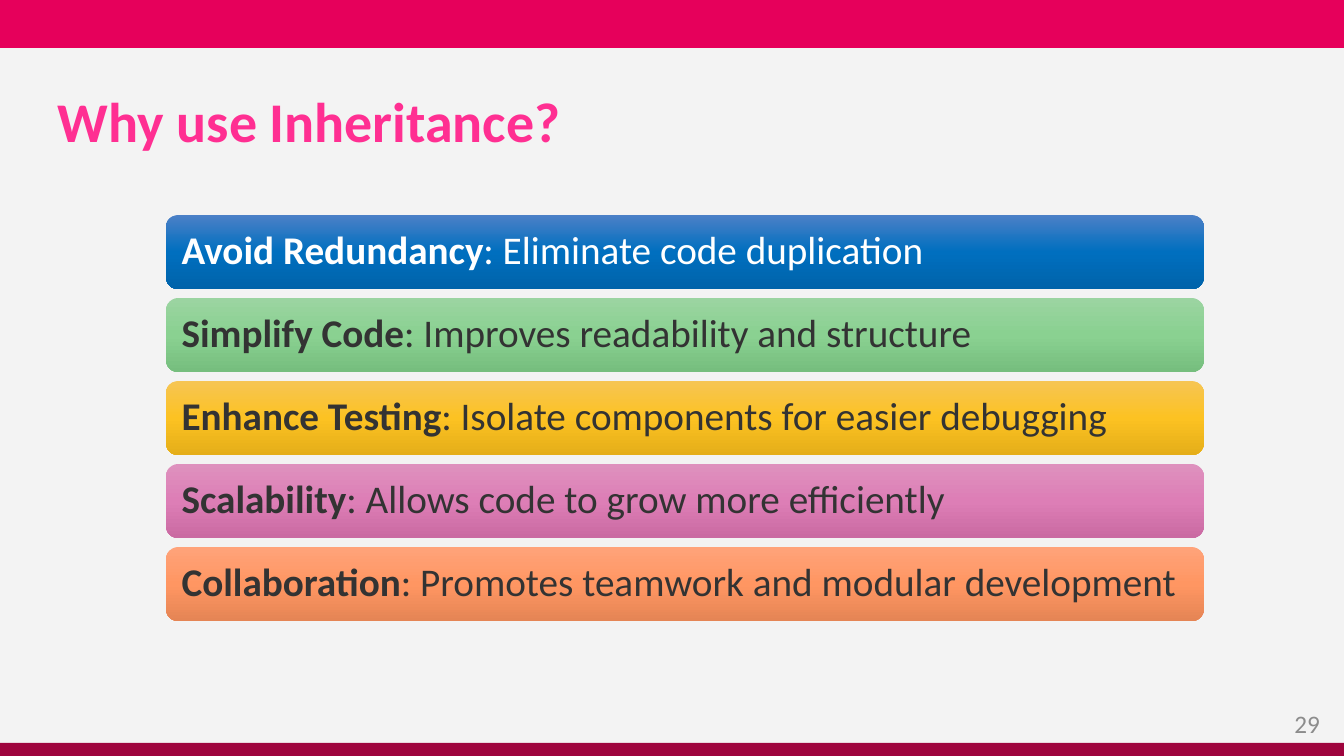
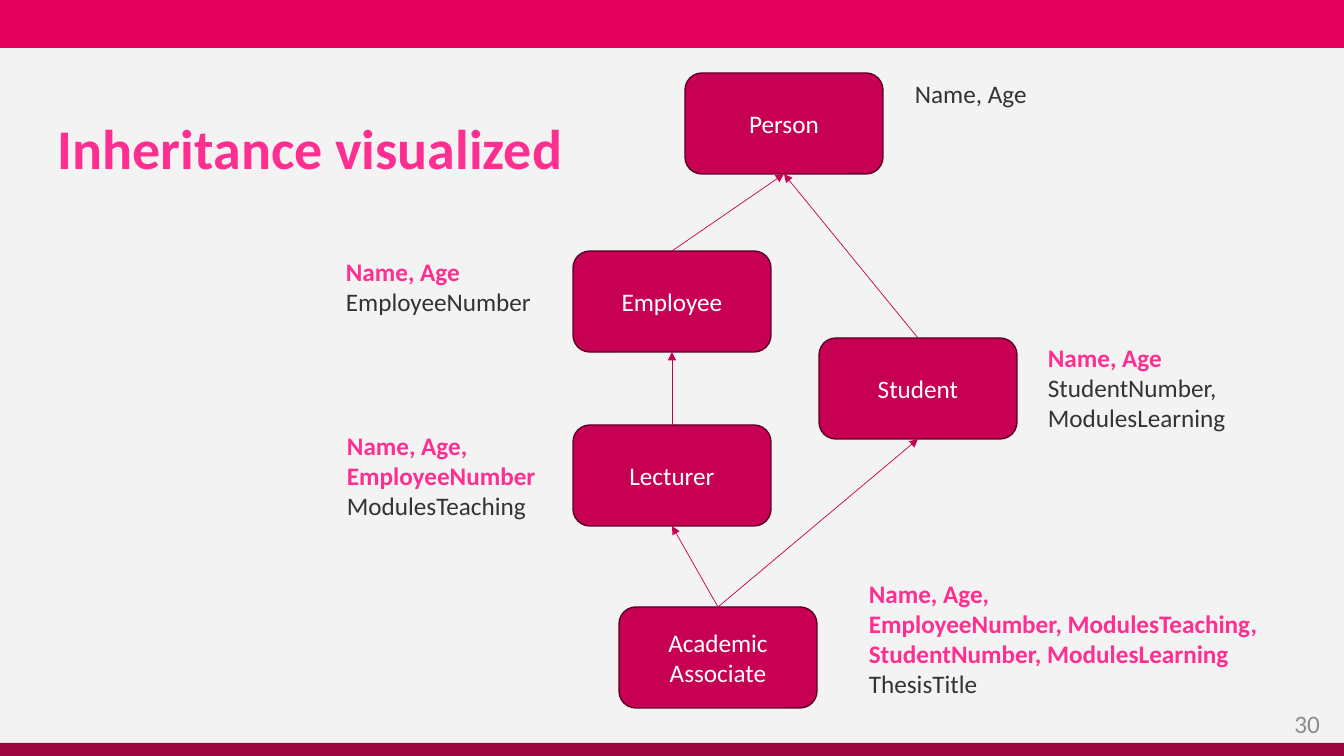
from copy import deepcopy

from lxml.etree import SubElement
from pptx import Presentation
from pptx.dml.color import RGBColor
from pptx.enum.shapes import MSO_CONNECTOR, MSO_SHAPE
from pptx.enum.text import MSO_ANCHOR, MSO_AUTO_SIZE, PP_ALIGN
from pptx.oxml.ns import qn
from pptx.util import Emu, Pt

WIDTH, HEIGHT = 1344, 756
SCALE = 12192000 / WIDTH
FONT = "Calibri"
COLORS = {
    "background": "F3F3F3",
    "top_band": "E6005B",
    "bottom_band": "9E043D",
    "accent": "FF2F92",
    "text": "333333",
    "white": "FFFFFF",
    "number": "8C8C8C",
    "node": "C80054",
    "node_border": "580025",
}
RGB = {name: RGBColor.from_string(value) for name, value in COLORS.items()}


def add_box(slide, bounds, preset=None, fill=None):
    left, top, width, height = [Emu(round(length * SCALE)) for length in bounds]
    if preset is None:
        return slide.shapes.add_textbox(left, top, width, height)
    shape = slide.shapes.add_shape(preset, left, top, width, height)
    shape.shadow.inherit = False
    shape.line.fill.background()
    if fill:
        shape.fill.solid()
        shape.fill.fore_color.rgb = RGB[fill]
    return shape


def write_text(shape, paragraphs, size=18, align=PP_ALIGN.LEFT,
               anchor=MSO_ANCHOR.TOP, spacing=1.0, wrap=True):
    frame = shape.text_frame
    frame.word_wrap = wrap
    frame.auto_size = MSO_AUTO_SIZE.NONE if wrap else MSO_AUTO_SIZE.SHAPE_TO_FIT_TEXT
    frame.vertical_anchor = anchor
    for index, runs in enumerate(paragraphs):
        paragraph = frame.add_paragraph() if index else frame.paragraphs[0]
        paragraph.alignment = align
        paragraph.line_spacing = spacing
        for text, color, bold in runs:
            run = paragraph.add_run()
            run.text = text
            run.font.name = FONT
            run.font.size = Pt(size)
            run.font.bold = bold
            run.font.color.rgb = RGB[color]


presentation = Presentation()
presentation.slide_width = Emu(round(WIDTH * SCALE))
presentation.slide_height = Emu(round(HEIGHT * SCALE))

pages = [
    ("Why use Inheritance?", (48, 89, 1246, 71), "29"),
    ("Inheritance visualized", (48, 89, 571, 125), "30"),
]
slides = []
for title, title_bounds, number in pages:
    slide = presentation.slides.add_slide(presentation.slide_layouts[6])
    slide.background.fill.solid()
    slide.background.fill.fore_color.rgb = RGB["background"]
    add_box(slide, (0, 0, WIDTH, 48), MSO_SHAPE.RECTANGLE, "top_band")
    add_box(slide, (0, 743, WIDTH, 13), MSO_SHAPE.RECTANGLE, "bottom_band")
    write_text(add_box(slide, (1103, 703, 227, 40)),
               [[(number, "number", False)]], align=PP_ALIGN.RIGHT)
    write_text(add_box(slide, title_bounds), [[(title, "accent", True)]],
               size=40, anchor=MSO_ANCHOR.MIDDLE, spacing=0.9)
    slides.append(slide)
reasons_slide, diagram_slide = slides

reasons = [
    ("Avoid Redundancy", ": Eliminate code duplication", "white",
     ("4B80C7", "006FBF", "0063AA")),
    ("Simplify Code", ": Improves readability and structure", "text",
     ("9BD4A1", "8AD191", "76BE7E")),
    ("Enhance Testing", ": Isolate components for easier debugging", "text",
     ("F6C554", "FCC222", "E5AE19")),
    ("Scalability", ": Allows code to grow more efficiently", "text",
     ("DE91BE", "DD7EB6", "CA6AA2")),
    ("Collaboration", ": Promotes teamwork and modular development", "text",
     ("FFA37A", "FF9662", "E58555")),
]
for row, (heading, detail, color, gradient) in enumerate(reasons):
    bar = add_box(reasons_slide, (166, 215 + 83 * row, 1038, 74),
                  MSO_SHAPE.ROUNDED_RECTANGLE)
    bar.fill.gradient()
    bar.fill.gradient_angle = 270
    stop_list = bar.element.spPr.find(qn("a:gradFill")).find(qn("a:gsLst"))
    stop_list.append(deepcopy(stop_list[0]))
    for index, (stop, value) in enumerate(zip(bar.fill.gradient_stops, gradient)):
        stop.position = index / 2
        stop.color.rgb = RGBColor.from_string(value)
    bar.text_frame.margin_left = Emu(round(12 * SCALE))
    bar.text_frame.margin_right = 0
    write_text(bar, [[(heading, color, True), (detail, color, False)]],
               size=28, anchor=MSO_ANCHOR.MIDDLE, spacing=0.9)

classes = {
    "Person": (685, 73),
    "Employee": (573, 251),
    "Lecturer": (573, 425),
    "Student": (819, 338),
    "Academic Associate": (619, 607),
}
nodes = {}
for name, (left, top) in classes.items():
    node = add_box(diagram_slide, (left, top, 198, 101),
                   MSO_SHAPE.ROUNDED_RECTANGLE, "node")
    node.line.color.rgb = RGB["node_border"]
    node.line.width = Pt(1)
    write_text(node, [[(name, "white", False)]],
               align=PP_ALIGN.CENTER, anchor=MSO_ANCHOR.MIDDLE)
    nodes[name] = node

inheritance = [
    ("Employee", "Person"),
    ("Student", "Person"),
    ("Lecturer", "Employee"),
    ("Academic Associate", "Lecturer"),
    ("Academic Associate", "Student"),
]
for child, parent in inheritance:
    arrow = diagram_slide.shapes.add_connector(MSO_CONNECTOR.STRAIGHT, 0, 0, 0, 0)
    arrow.begin_connect(nodes[child], 0)
    arrow.end_connect(nodes[parent], 2)
    arrow.line.color.rgb = RGB["node"]
    arrow.line.width = Pt(0.5)
    SubElement(arrow.line._get_or_add_ln(), qn("a:tailEnd"), type="triangle")
    SubElement(arrow.element.spPr, qn("a:effectLst"))

attributes = [
    ((905, 73, 133, 40), [], ["Name, Age"]),
    ((336, 251, 212, 71), ["Name, Age"], ["EmployeeNumber"]),
    ((337, 425, 211, 102), ["Name, Age,", "EmployeeNumber"], ["ModulesTeaching"]),
    ((1038, 337, 200, 102), ["Name, Age"], ["StudentNumber,", "ModulesLearning"]),
    ((859, 573, 409, 132),
     ["Name, Age,", "EmployeeNumber, ModulesTeaching,", "StudentNumber, ModulesLearning"],
     ["ThesisTitle"]),
]
for bounds, inherited, own in attributes:
    lines = [[(line, "accent", True)] for line in inherited]
    lines += [[(line, "text", False)] for line in own]
    write_text(add_box(diagram_slide, bounds), lines, wrap=False)

presentation.save("out.pptx")
